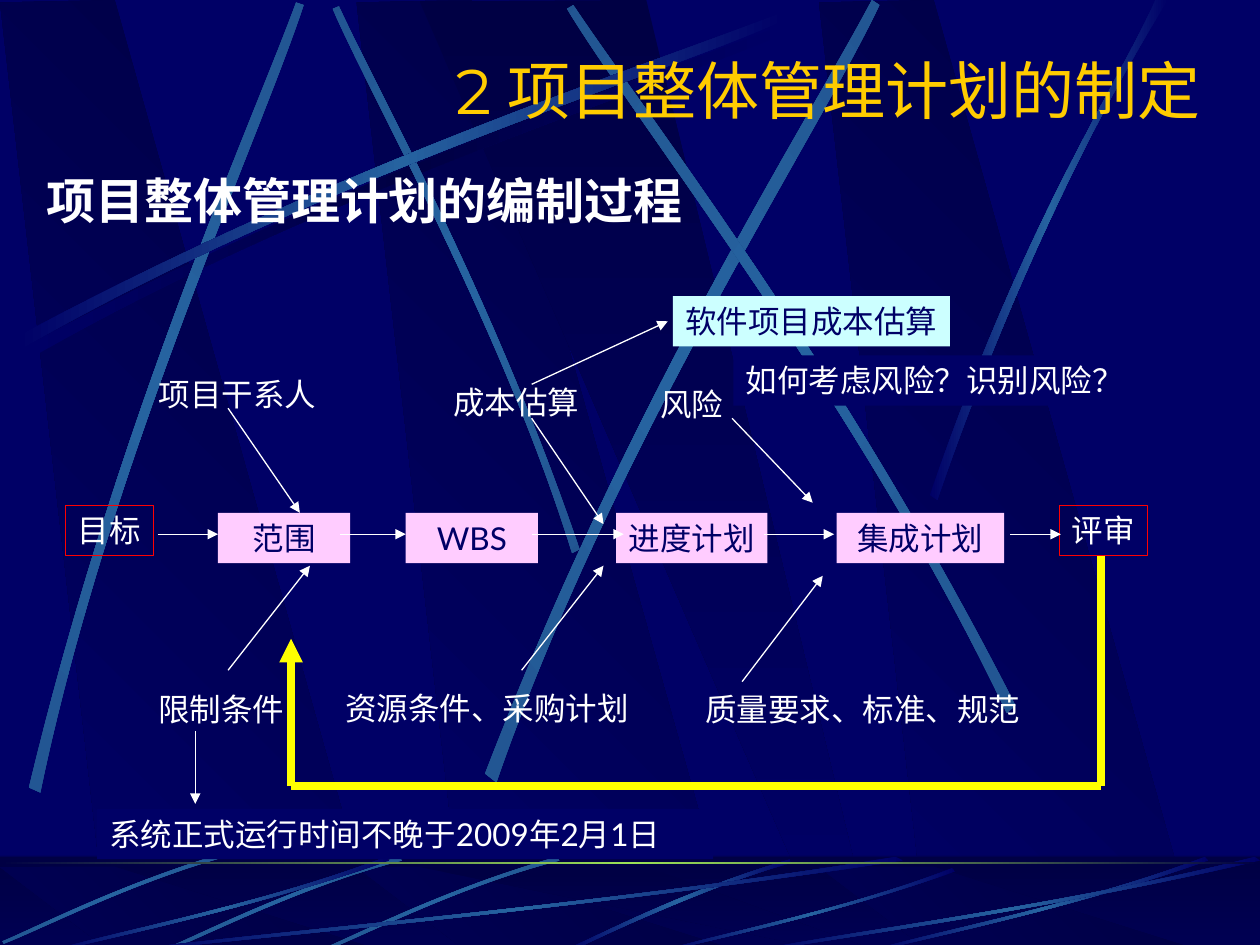
import math

from pptx import Presentation
from pptx import util as u
from pptx.dml.color import RGBColor
from pptx.enum import shapes, text
from pptx.oxml import parse_xml
from pptx.oxml.ns import qn, nsdecls

NAVY, DARK, BEAM, DIM_BEAM = "000066", "000044", "2663A0", "20508C"
WHITE, PINK, CYAN, RED, YELLOW, GOLD = "FFFFFF", "FFCCFF", "CCFFFF", "FF0000", "FFFF00", "FFCC00"

# Slanted panels as corners in a 10 by 7.5 area, with their gradient angle
PANELS = [
    *[([(x + 0.86, 7.5), (x + 3.02, 7.52), (x + 0.91, 0), (x, 0.02)], 135) for x in (2.83, 0, 6.5)],
    ([(3.33, 0.01), (6.58, 7.51), (6.94, 7.51), (5.13, 0)], 90),
]
# A beam is two Bezier edges: four points out, four points back
SHADOW_BEAM = [(0.2, 2.75), (2.84, 1.34), (5.24, 0.59), (6.26, 0.18),
               (6.29, 0.24), (5.28, 0.69), (2.54, 1.51), (0.23, 2.85)]
TURNED_BEAMS = [
    (45, [(4.6, 4.36), (3.91, 2.34), (3.02, 0.77), (2.69, 0.05),
          (2.64, 0.07), (2.95, 0.79), (3.98, 2.58), (4.54, 4.39)]),
    (311.7, [(0.23, 6.25), (0.93, 3.34), (1.97, 1.05), (2.35, 0.02),
             (2.41, 0.04), (2.07, 1.08), (0.86, 3.68), (0.32, 6.29)]),
    (321.6, [(3.85, 6.14), (4.98, 3.2), (6.38, 1.02), (6.92, 0),
             (6.98, 0.04), (6.49, 1.08), (4.86, 3.55), (3.94, 6.21)]),
    (34.8, [(8.06, 5.6), (6.7, 2.93), (5.16, 0.95), (4.55, 0.04),
            (4.5, 0.07), (5.07, 1.01), (6.85, 3.25), (7.99, 5.66)]),
]
LEVEL_BEAMS = [
    [(x - 0.06, y - 0.08) for x, y in SHADOW_BEAM],
    [(7.38, 3.93), (8.14, 1.73), (8.88, 0.66), (9.17, 0),
     (9.27, 0), (8.36, 1.45), (7.69, 3.22), (7.44, 3.97)],
]
FLOOR_ARC = [(1.79, 0.02), (0.89, 0.29), (0.29, 0.62), (0, 0.74),
             (0.05, 0.75), (0.42, 0.57), (1.23, 0.2), (1.8, 0.05)]
FLOOR_SHORT = [(1.86, 0), (0.99, 0.25), (0.31, 0.6), (0, 0.73),
               (0.01, 0.75), (0.32, 0.63), (1.09, 0.23), (1.88, 0.03)]
# Floor sweep as fractions of its width and height
FLOOR_SWEEP = [(1, 0.04), (0.57, 0.57), (0.17, 0.85), (0.01, 1),
               (0, 0.99), (0.16, 0.81), (0.62, 0.51), (0.99, 0)]


def rgb(h):
    return RGBColor.from_string(h)


def gradient(sp, colors, angle):
    """Fill with evenly spaced colours at a clockwise angle."""
    step = 100000 // (len(colors) - 1)
    stops = "".join(f'<a:gs pos="{i * step}"><a:srgbClr val="{c}"/></a:gs>'
                    for i, c in enumerate(colors))
    sp.fill.solid()
    solid = sp._element.spPr.find(qn("a:solidFill"))
    sp._element.spPr.replace(solid, parse_xml(
        f'<a:gradFill rotWithShape="1" {nsdecls("a")}><a:gsLst>{stops}</a:gsLst>'
        f'<a:lin ang="{angle * 60000}" scaled="0"/></a:gradFill>'))


def plain(sp):
    sp.shadow.inherit = False
    sp.line.fill.background()
    return sp


def rect(s, x, y, w, h):
    return plain(s.shapes.add_shape(shapes.MSO_SHAPE.RECTANGLE, *map(u.Inches, (x, y, w, h))))


def polygon(s, x, y, pts, colors, angle):
    pts = [(u.Inches(x + px), u.Inches(y + py)) for px, py in pts]
    fb = s.shapes.build_freeform(*pts[0])
    fb.add_line_segments(pts[1:], close=True)
    sp = plain(fb.convert_to_shape())
    gradient(sp, colors, angle)
    return sp


def turn(px, py, degrees):
    c, d = math.cos(math.radians(degrees)), math.sin(math.radians(degrees))
    return px * c - py * d, px * d + py * c


def beam(s, x, y, pts, edge=NAVY, core=BEAM, rotation=0):
    """Draw a curved beam; pts are where its points lie once rotated."""
    level = [turn(x + px, y + py, -rotation) for px, py in pts]
    cx, cy = [(min(v) + max(v)) / 2 for v in zip(*level)]
    tx, ty = turn(cx, cy, rotation)
    sp = polygon(s, tx - cx, ty - cy, level, [edge, core, edge], 180)
    sp.rotation = rotation
    lines = list(sp._element.iter(qn("a:lnTo")))
    for edge_lines in (lines[:3], lines[4:7]):
        bezier = parse_xml(f'<a:cubicBezTo {nsdecls("a")}/>')
        edge_lines[0].addprevious(bezier)
        for line in edge_lines:
            bezier.append(line[0])
            line.getparent().remove(line)


def panels(s, x, y, h):
    for pts, angle in PANELS:
        polygon(s, x, y, [(px, py * h / 7.5) for px, py in pts], [DARK, NAVY], angle)


def backdrop(s, x, y, h):
    panels(s, x, y, h)
    beam(s, x, y, SHADOW_BEAM, core=DARK)
    for rotation, pts in TURNED_BEAMS:
        beam(s, x, y, pts, edge=DIM_BEAM, rotation=rotation)
    for pts in LEVEL_BEAMS:
        beam(s, x, y, pts)


def floor(s, x, y, w, h):
    gradient(rect(s, x, y, w, h), [DARK, NAVY], 90)
    panels(s, x, y + 0.08, 0.66)
    veil = rect(s, x, y - 0.01, w, h)
    veil.fill.solid()
    veil.fill.fore_color.rgb = rgb(DARK)
    color = veil._element.spPr.find(qn("a:solidFill"))[0]
    color.append(parse_xml(f'<a:alpha val="50000" {nsdecls("a")}/>'))
    beam(s, x + 4.48, y, FLOOR_ARC)
    for dx, dy in ((2.56, 0), (1.31, 0), (0.02, -0.06)):
        beam(s, x + dx, y + dy, FLOOR_SHORT, edge=DIM_BEAM, rotation=314.9)
    for dx, dy, bw in ((1, 0, 6.17), (0.42, 0, 2.67), (5.27, 0.09, 2.31), (6.92, 0, 2.67), (6, 0, 4)):
        beam(s, x + dx, y + dy, [(fx * bw, fy * (h - dy)) for fx, fy in FLOOR_SWEEP])
    gradient(rect(s, x, y + 0.04, w, 0.02), [DARK, "9CE157", DARK], 180)


def write(sp, words, size=18, color=WHITE, font="Lato", align=text.PP_ALIGN.LEFT,
          anchor=text.MSO_ANCHOR.TOP, wrap=False, bold=False):
    tf = sp.text_frame
    tf.text = words
    tf.word_wrap = wrap
    tf.vertical_anchor = anchor
    p = tf.paragraphs[0]
    p.alignment = align
    f = p.runs[0].font
    f.size, f.name, f.bold, f.color.rgb = u.Pt(size), font, bold, rgb(color)


def label(s, words, x, y, w, h=0.4, **style):
    write(s.shapes.add_textbox(*map(u.Inches, (x, y, w, h))), words, **style)


def box(s, words, x, y, w, fill=None, line=None, **style):
    sp = rect(s, x, y, w, 0.4)
    if fill:
        sp.fill.solid()
        sp.fill.fore_color.rgb = rgb(fill)
    else:
        sp.fill.background()
    if line:
        sp.line.color.rgb = rgb(line)
        sp.line.width = u.Pt(0.75)
    write(sp, words, **style)


def arrow(s, x1, y1, x2, y2, color=WHITE, width=0.75, head=True):
    c = s.shapes.add_connector(shapes.MSO_CONNECTOR.STRAIGHT, *map(u.Inches, (x1, y1, x2, y2)))
    c.line.color.rgb = rgb(color)
    c.line.width = u.Pt(width)
    if head:
        c.line._get_or_add_ln().append(parse_xml(f'<a:tailEnd type="triangle" {nsdecls("a")}/>'))
    c._element.spPr.append(parse_xml(f'<a:effectLst {nsdecls("a")}/>'))


def headings(s, x, y):
    style = dict(anchor=text.MSO_ANCHOR.MIDDLE)
    label(s, "2 项目整体管理计划的制定", x + 0.86, y, 8.5, 0.7, size=36, color=GOLD,
          font="Montserrat", align=text.PP_ALIGN.RIGHT, wrap=True, **style)
    label(s, "项目整体管理计划的编制过程", x, y + 0.95, 6.61, 0.55, size=28, font="Arial", bold=True, **style)


def planning_flow(s, x, y):
    filled = dict(color=NAVY, align=text.PP_ALIGN.CENTER, wrap=True)
    for words, dx, w in (("范围", 1.23, 1.05), ("WBS", 2.72, 1.05),
                         ("进度计划", 4.39, 1.2), ("集成计划", 6.14, 1.33)):
        box(s, words, x + dx, y + 2.07, w, fill=PINK, **filled)
    for words, dx in (("目标", 0.02), ("评审", 7.91)):
        box(s, words, x + dx, y + 2.01, 0.7, line=RED)
    for words, dx, dy, w in (("限制条件", 0.66, 3.43, 1.2), ("资源条件、采购计划", 2.14, 3.42, 2.45),
                             ("质量要求、标准、规范", 5, 3.43, 2.7), ("项目干系人", 0.66, 0.93, 1.45),
                             ("成本估算", 3, 0.99, 1.2), ("风险", 4.64, 1.01, 0.7)):
        label(s, words, x + dx, y + dy, w)
    box(s, "软件项目成本估算", x + 4.84, y + 0.35, 2.2, fill=CYAN, **filled)
    box(s, "系统正式运行时间不晚于2009年2月1日", x + 0.27, y + 4.42, 4.89, fill=NAVY, wrap=True)
    box(s, "如何考虑风险？识别风险？", x + 5.32, y + 0.82, 3.2, fill=NAVY)
    for x1, x2 in ((0.75, 1.23), (2.2, 2.72), (3.72, 4.45), (5.56, 6.12), (7.52, 7.92)):
        arrow(s, x + x1, y + 2.24, x + x2, y + 2.24)
    for x1, y1, x2, y2 in ((1.31, 1.24, 1.88, 2.07), (3.72, 1.32, 4.29, 2.16), (5.31, 1.32, 5.95, 1.99),
                           (1.31, 3.32, 1.96, 2.49), (3.64, 3.32, 4.29, 2.49), (5.39, 3.41, 6.03, 2.57),
                           (3.72, 1.05, 4.8, 0.55), (1.05, 3.8, 1.05, 4.38)):
        arrow(s, x + x1, y + y1, x + x2, y + y2)
    feedback = [(8.24, 2.41), (8.24, 4.24), (1.81, 4.24), (1.81, 3.07)]
    for i, ((x1, y1), (x2, y2)) in enumerate(zip(feedback, feedback[1:])):
        arrow(s, x + x1, y + y1, x + x2, y + y2, YELLOW, 4.5, head=i == 2)


prs = Presentation()
prs.slide_width, prs.slide_height = u.Inches(10), u.Inches(7.5)
s = prs.slides.add_slide(prs.slide_layouts[6])
s.background.fill.solid()
s.background.fill.fore_color.rgb = rgb(NAVY)
backdrop(s, 0, 0, 7.5)
floor(s, 0, 6.8, 10, 0.75)
headings(s, 0.27, 0.36)
planning_flow(s, 0.5, 2)
prs.save("out.pptx")
